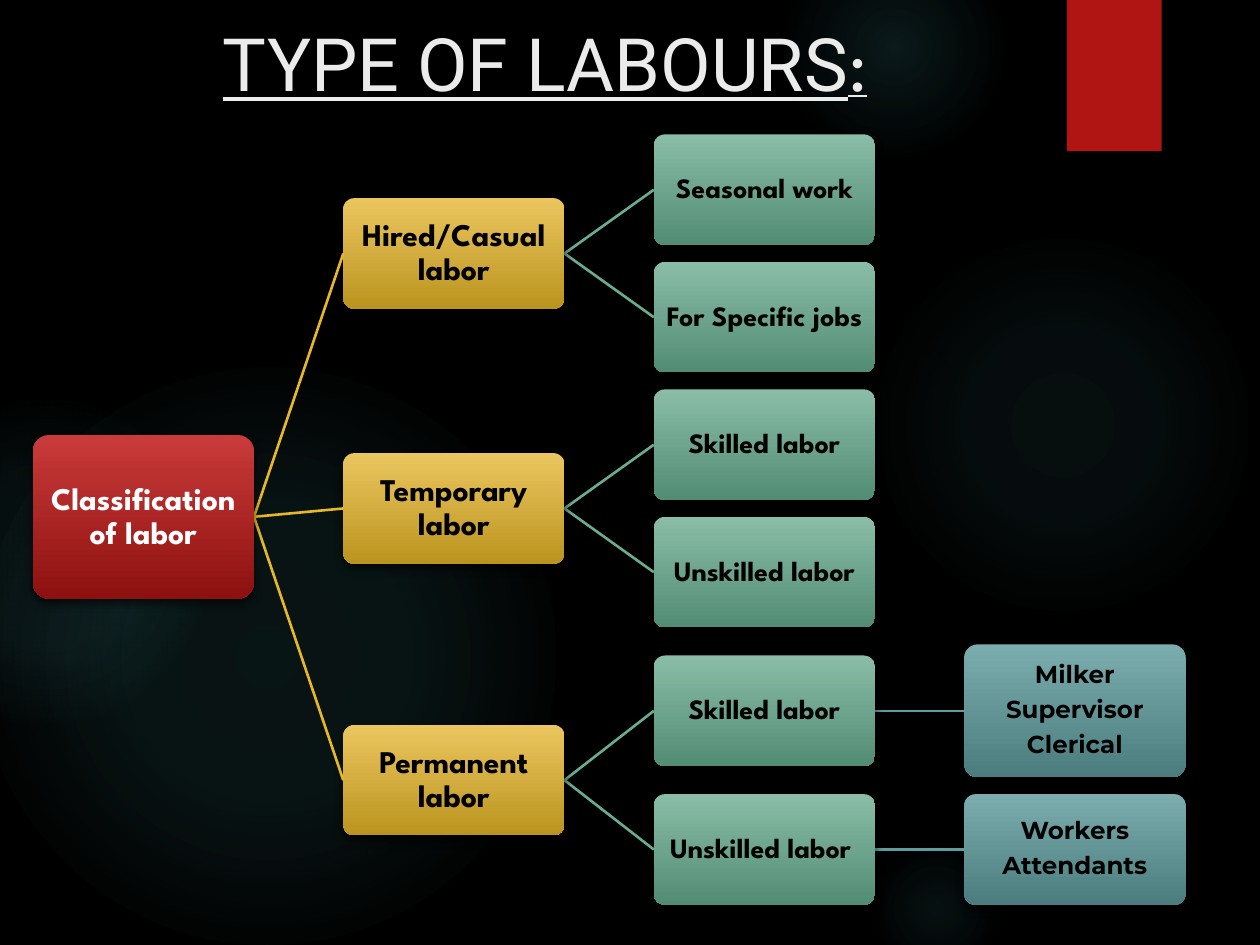
import pptx
import pptx.dml.color
import pptx.enum.shapes
import pptx.enum.text
import pptx.oxml
import pptx.oxml.ns
import pptx.util

Cm, Pt = pptx.util.Cm, pptx.util.Pt
RGBColor = pptx.dml.color.RGBColor
SHAPE = pptx.enum.shapes.MSO_SHAPE
ALIGN = pptx.enum.text.PP_ALIGN
MIDDLE = pptx.enum.text.MSO_ANCHOR.MIDDLE
NS = pptx.oxml.ns.nsdecls("a")

BLACK = RGBColor(0x00, 0x00, 0x00)
WHITE = RGBColor(0xFF, 0xFF, 0xFF)
TITLE = RGBColor(0xEB, 0xEB, 0xEB)
RED = RGBColor(0xB0, 0x15, 0x13)
RED_TOP, RED_END = RGBColor(0xC9, 0x3B, 0x3A), RGBColor(0x8D, 0x11, 0x0F)
GOLD = RGBColor(0xE6, 0xB7, 0x29)
GOLD_TOP, GOLD_END = RGBColor(0xEB, 0xC6, 0x5F), RGBColor(0xBB, 0x94, 0x1F)
GREEN = RGBColor(0x6A, 0xAC, 0x90)
GREEN_TOP, GREEN_END = RGBColor(0x89, 0xBD, 0xA7), RGBColor(0x53, 0x8C, 0x74)
TEAL = RGBColor(0x5F, 0x9C, 0x9D)
TEAL_TOP, TEAL_END = RGBColor(0x7C, 0xAD, 0xAE), RGBColor(0x4C, 0x7D, 0x7E)
GLOW = RGBColor(0x50, 0xB9, 0xC1)

# Tree geometry in cm
BOX_W, BOX_H, STEP_X, GAP_Y = 4.46, 2.23, 6.26, 0.34

# One entry per tree column: line colour, gradient, font and ink
LEVELS = [
    (RED, RED_TOP, RED_END, {"size": Pt(18), "name": "League Spartan"}, WHITE),
    (GOLD, GOLD_TOP, GOLD_END, {"size": Pt(18), "name": "League Spartan"}, BLACK),
    (GREEN, GREEN_TOP, GREEN_END, {"size": Pt(16), "name": "League Spartan"}, BLACK),
    (TEAL, TEAL_TOP, TEAL_END, {"size": Pt(14), "name": "Montserrat"}, BLACK),
]

# Node: text, height, children
LABOUR = ("Classification of labor", 3.3, [
    ("Hired/Casual labor", BOX_H, [
        ("Seasonal work", BOX_H, []),
        ("For Specific jobs", BOX_H, [])]),
    ("Temporary labor", BOX_H, [
        ("Skilled labor", BOX_H, []),
        ("Unskilled labor", BOX_H, [])]),
    ("Permanent labor", BOX_H, [
        ("Skilled labor", BOX_H, [("Milker\nSupervisor\nClerical", 2.68, [])]),
        ("Unskilled labor ", BOX_H, [("Workers\nAttendants", BOX_H, [])])]),
])

# Left, top, diameter, then (position, opacity) stops in percent
GLOWS = [
    (17.5, 4.65, 7.82, [(0, 7), (36, 6), (69, 0)]),
    (15.8, -1.27, 4.45, [(0, 14), (36, 7), (73, 0)]),
    (17.5, 16.94, 2.74, [(0, 9), (36, 5), (66, 0)]),
    (-0.43, 7.42, 11.63, [(0, 11), (36, 10), (75, 0)]),
    (-2.34, 8.05, 6.55, [(0, 8), (36, 8), (72, 0)]),
]


def set_attrs(obj, values):
    for name, value in values.items():
        setattr(obj, name, value)


def add_plain(slide, kind, x, y, w, h):
    sp = slide.shapes.add_shape(kind, Cm(x), Cm(y), Cm(w), Cm(h))
    sp.shadow.inherit = False
    sp.line.fill.background()
    return sp


def add_shadow(sp, blur, dist, opacity):
    effects = sp._element.spPr.find(pptx.oxml.ns.qn("a:effectLst"))
    effects.append(pptx.oxml.parse_xml(
        f'<a:outerShdw {NS} blurRad="{Pt(blur)}" dist="{Pt(dist)}" dir="5400000" '
        f'rotWithShape="0"><a:srgbClr val="000000"><a:alpha val="{opacity * 1000}"/>'
        '</a:srgbClr></a:outerShdw>'))


def add_backdrop(slide):
    fill = slide.background.fill
    fill.solid()
    fill.fore_color.rgb = BLACK
    # Soft round glows
    for x, y, size, stops in GLOWS:
        sp = add_plain(slide, SHAPE.OVAL, x, y, size, size)
        gs = "".join(
            f'<a:gs pos="{pos * 1000}"><a:srgbClr val="{GLOW}">'
            f'<a:alpha val="{alpha * 1000}"/></a:srgbClr></a:gs>'
            for pos, alpha in stops)
        sp._element.spPr.find(pptx.oxml.ns.qn("a:prstGeom")).addnext(pptx.oxml.parse_xml(
            f'<a:gradFill {NS}><a:gsLst>{gs}</a:gsLst><a:path path="circle">'
            '<a:fillToRect l="50000" t="50000" r="50000" b="50000"/></a:path></a:gradFill>'))
    # Red tab
    sp = add_plain(slide, SHAPE.RECTANGLE, 21.51, 0, 1.91, 3.05)
    sp.fill.solid()
    sp.fill.fore_color.rgb = RED
    add_shadow(sp, 3, 2, 45)


def add_title(slide, x, y, w, h):
    tf = slide.shapes.add_textbox(Cm(x), Cm(y), Cm(w), Cm(h)).text_frame
    set_attrs(tf, {"word_wrap": True, "vertical_anchor": MIDDLE})
    for text, font in (("TYPE OF LABOURS", "Roboto"), (":", "League Spartan")):
        r = tf.paragraphs[0].add_run()
        r.text = text
        set_attrs(r.font, {"size": Pt(42), "name": font, "underline": True})
        r.font.color.rgb = TITLE


def add_node(slide, text, level, x, y, h):
    _, top_color, end_color, font, ink = LEVELS[level]
    sp = add_plain(slide, SHAPE.ROUNDED_RECTANGLE, x, y, BOX_W, h)
    sp.adjustments[0] = 0.1
    sp.fill.gradient()
    sp.fill.gradient_angle = 270
    for stop, color in zip(sp.fill.gradient_stops, (top_color, end_color)):
        stop.color.rgb = color
    add_shadow(sp, 5, 3, 60)
    tf = sp.text_frame
    set_attrs(tf, {"word_wrap": True, "vertical_anchor": MIDDLE})
    set_attrs(tf, {f"margin_{side}": Cm(0.1) for side in ("left", "top", "right", "bottom")})
    tf.text = text
    for p in tf.paragraphs:
        set_attrs(p, {"alignment": ALIGN.CENTER, "line_spacing": 0.9,
                      "space_after": Pt(font["size"].pt * 0.35)})
        for r in p.runs:
            set_attrs(r.font, {**font, "bold": True})
            r.font.color.rgb = ink


def add_link(slide, color, x1, y1, x2, y2):
    line = slide.shapes.add_connector(
        pptx.enum.shapes.MSO_CONNECTOR.STRAIGHT, Cm(x1), Cm(y1), Cm(x2), Cm(y2))
    line.line.color.rgb = color
    line.line.width = Pt(1.5)
    line._element.spPr.append(pptx.oxml.parse_xml(f"<a:effectLst {NS}/>"))


def add_tree(slide, node, x, y, level=0):
    """Draw a node centred on its children; return its middle and the subtree's bottom."""
    text, h, children = node
    middles, bottom = [], y - GAP_Y
    for child in children:
        middle, bottom = add_tree(slide, child, x + STEP_X, bottom + GAP_Y, level + 1)
        middles.append(middle)
    middle = (middles[0] + middles[-1]) / 2 if middles else y + h / 2
    for child_middle in middles:
        add_link(slide, LEVELS[level + 1][0], x + BOX_W, middle, x + STEP_X, child_middle)
    add_node(slide, text, level, x, middle - h / 2, h)
    return middle, max(bottom, middle + h / 2)


def main():
    prs = pptx.Presentation()
    set_attrs(prs, {"slide_width": Cm(25.4), "slide_height": Cm(19.05)})
    slide = prs.slides.add_slide(prs.slide_layouts[6])
    add_backdrop(slide)
    add_title(slide, 4.24, 0.2, 15.44, 2.11)
    add_tree(slide, LABOUR, 0.66, 2.71)
    prs.save("out.pptx")


if __name__ == "__main__":
    main()
